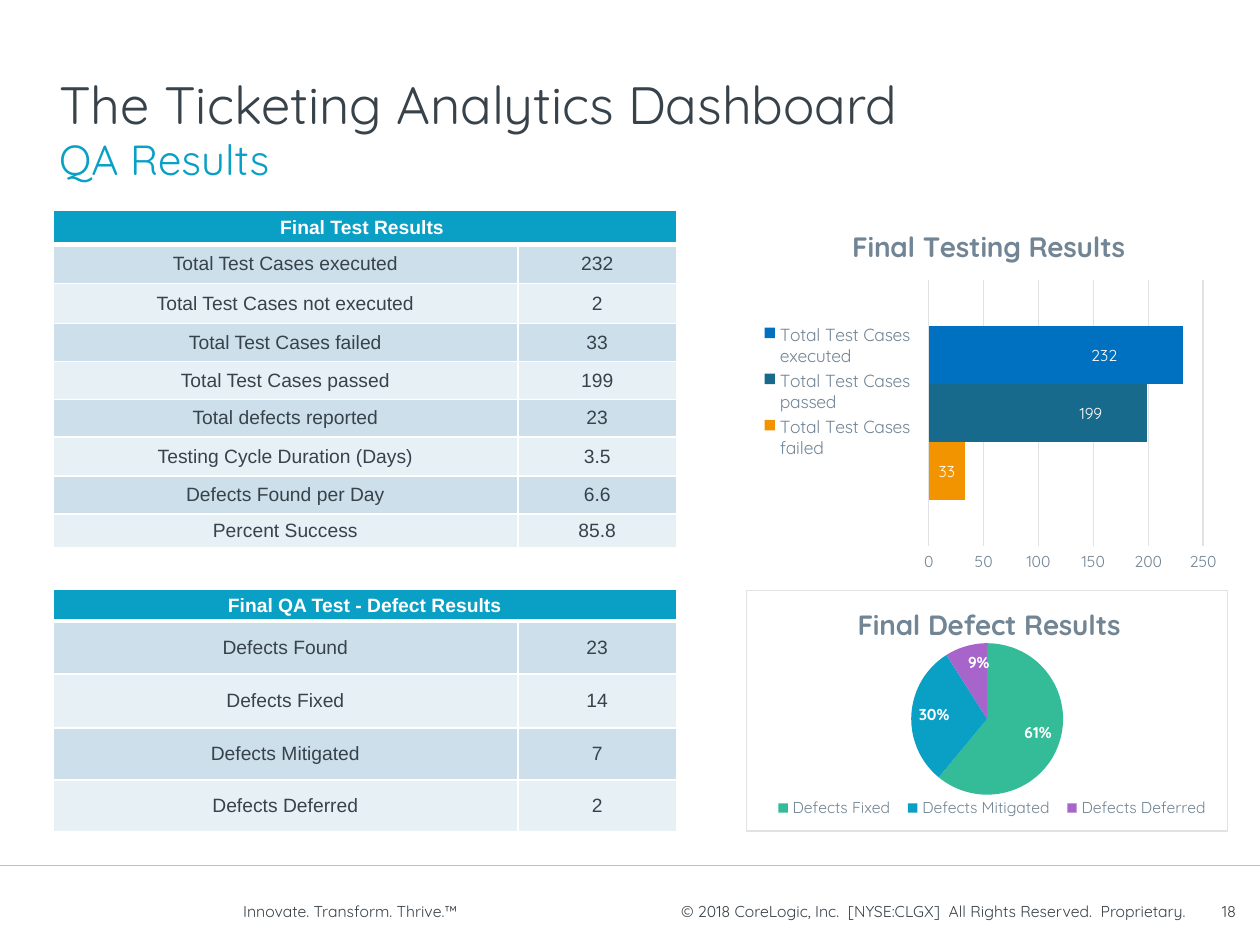
import pptx
import pptx.chart.data
import pptx.dml.color
import pptx.enum.chart
import pptx.enum.shapes
import pptx.enum.text
import pptx.oxml
import pptx.oxml.ns
import pptx.util

Inches, Pt = pptx.util.Inches, pptx.util.Pt
RGB = pptx.dml.color.RGBColor
ALIGN, ANCHOR = pptx.enum.text.PP_ALIGN, pptx.enum.text.MSO_ANCHOR
XL = pptx.enum.chart

INK, WHITE = RGB(0x38, 0x42, 0x4A), RGB(0xFF, 0xFF, 0xFF)
CYAN, SLATE = RGB(0x0A, 0xA0, 0xC6), RGB(0x72, 0x85, 0x95)
BAND_DARK, BAND_LIGHT = RGB(0xCC, 0xDF, 0xEA), RGB(0xE7, 0xF0, 0xF5)
GRID, RULE = RGB(0xDF, 0xE3, 0xE6), RGB(0xBF, 0xBF, 0xBF)
ORANGE, TEAL, BLUE = RGB(0xF2, 0x94, 0x00), RGB(0x18, 0x6A, 0x8C), RGB(0x00, 0x70, 0xC0)
GREEN, PURPLE = RGB(0x33, 0xBC, 0x97), RGB(0xA7, 0x65, 0xCB)
HEAD_FONT, TABLE_FONT = "Quicksand", "Arial"

LEFT, RIGHT_COL = 0.42, 5.92
TOP_ROW, BOTTOM_ROW = 1.67, 4.68
COLUMNS = (3.69, 1.26)

# text, box, size, colour, alignment, anchor, side inset
TEXTS = [
    ("The Ticketing Analytics Dashboard", (LEFT, 0.12, 9.34, 1), 30, INK, ALIGN.LEFT, ANCHOR.BOTTOM, 0.05),
    ("QA Results", (LEFT, 1.01, 9.33, 0.57), 24, CYAN, ALIGN.LEFT, ANCHOR.TOP, 0.05),
    ("Innovate. Transform. Thrive.™", (1.93, 7.02, 1.97, 0.42), 9, INK, ALIGN.LEFT, ANCHOR.MIDDLE, 0),
    ("© 2018 CoreLogic, Inc.  [NYSE:CLGX]  All Rights Reserved.  Proprietary. ",
     (5.03, 7.02, 4.41, 0.42), 9, INK, ALIGN.RIGHT, ANCHOR.MIDDLE, 0),
    ("18", (9.54, 7.02, 0.27, 0.42), 9, INK, ALIGN.RIGHT, ANCHOR.MIDDLE, 0),
]

# top, heading, rows, row heights
TABLES = [
    (TOP_ROW, "Final Test Results\u00a0", [
        ("Total Test Cases executed", "232"),
        ("Total Test Cases not executed", "2"),
        ("Total Test Cases failed", "33"),
        ("Total Test Cases passed", "199"),
        ("Total defects reported", "23"),
        ("Testing Cycle Duration (Days)", "3.5"),
        ("Defects Found per Day", "6.6"),
        ("Percent Success", "85.8"),
    ], (0.27, 0.31, 0.32, 0.3, 0.3, 0.3, 0.31, 0.3, 0.27)),
    (BOTTOM_ROW, "Final QA Test - Defect Results", [
        ("Defects Found", "23"),
        ("Defects Fixed", "14"),
        ("Defects Mitigated", "7"),
        ("Defects Deferred", "2"),
    ], (0.25, 0.42, 0.43, 0.41, 0.41)),
]

# name, value, colour, label shift as a share of the chart's width
TEST_BARS = [
    ("Total Test Cases failed", 33, ORANGE, 0),
    ("Total Test Cases passed", 199, TEAL, 0.11),
    ("Total Test Cases executed", 232, BLUE, 0.1),
]
DEFECT_SLICES = [
    ("Defects Fixed", 61, GREEN),
    ("Defects Mitigated", 30, CYAN),
    ("Defects Deferred", 9, PURPLE),
]


def style(font, size, color, name=HEAD_FONT, bold=False):
    font.size, font.name, font.bold = Pt(size), name, bold
    font.color.rgb = color


def add_text(slide, text, box, size, color, align, anchor, side):
    tf = slide.shapes.add_textbox(*map(Inches, box)).text_frame
    tf.word_wrap, tf.vertical_anchor = True, anchor
    tf.margin_left = tf.margin_right = Inches(side)
    p = tf.paragraphs[0]
    p.text, p.alignment = text, align
    style(p.font, size, color)


def fill_cell(cell, text, fill, color, bold=False, bottom=1):
    cell.margin_left = cell.margin_right = cell.margin_top = cell.margin_bottom = 0
    cell.vertical_anchor = ANCHOR.MIDDLE
    p = cell.text_frame.paragraphs[0]
    p.text, p.alignment = text, ALIGN.CENTER
    style(p.font, 11, color, TABLE_FONT, bold)
    for side, width in (("L", 1), ("R", 1), ("T", 1), ("B", bottom)):
        cell._tc.get_or_add_tcPr().append(pptx.oxml.parse_xml(
            f'<a:ln{side} {pptx.oxml.ns.nsdecls("a")} w="{Pt(width)}"><a:solidFill>'
            f'<a:srgbClr val="{WHITE}"/></a:solidFill></a:ln{side}>'))
    cell.fill.solid()
    cell.fill.fore_color.rgb = fill


def add_results_table(slide, top, heading, rows, heights):
    table = slide.shapes.add_table(len(heights), 2, Inches(LEFT), Inches(top),
                                   Inches(sum(COLUMNS)), Inches(sum(heights))).table
    for column, width in zip(table.columns, COLUMNS):
        column.width = Inches(width)
    for row, height in zip(table.rows, heights):
        row.height = Inches(height)
    for c, text in enumerate((heading, "")):
        fill_cell(table.cell(0, c), text, CYAN, WHITE, True, 3)
    table.cell(0, 0).merge(table.cell(0, 1))
    for r, values in enumerate(rows, 1):
        for c, text in enumerate(values):
            fill_cell(table.cell(r, c), text, BAND_DARK if r % 2 else BAND_LIGHT, INK)


def place(element, index, inner=False, **shares):
    """Give a chart part a manual layout in shares of the chart's size."""
    for old in element.findall(pptx.oxml.ns.qn("c:layout")):
        element.remove(old)
    modes = "".join(f'<c:{m}Mode val="edge"/>' for m in "xy") if "y" in shares else ""
    target = '<c:layoutTarget val="inner"/>' if inner else ""
    sizes = "".join(f'<c:{key} val="{value}"/>' for key, value in shares.items())
    element.insert(index, pptx.oxml.parse_xml(
        f'<c:layout {pptx.oxml.ns.nsdecls("c")}><c:manualLayout>{target}{modes}{sizes}'
        '</c:manualLayout></c:layout>'))


def add_chart(slide, kind, data, box, title, title_at, plot_at, legend_at, legend_side, legend_size, border):
    chart = slide.shapes.add_chart(kind, *map(Inches, box), data).chart
    style(chart.font, 10, INK)
    chart.has_title = True
    p = chart.chart_title.text_frame.paragraphs[0]
    p.text = title
    style(p.font, 16, SLATE, bold=True)
    chart.has_legend = True
    chart.legend.position, chart.legend.include_in_layout = legend_side, False
    style(chart.legend.font, legend_size, SLATE)
    space = chart._chartSpace
    place(space.xpath("c:chart/c:title")[0], 1, **dict(zip("xy", title_at)))
    place(space.xpath("c:chart/c:plotArea")[0], 0, True, **dict(zip("xywh", plot_at)))
    place(space.xpath("c:chart/c:legend")[0], 1, **dict(zip("xywh", legend_at)))
    line = f'<a:solidFill><a:srgbClr val="{GRID}"/></a:solidFill>' if border else "<a:noFill/>"
    space.xpath("c:chart")[0].addnext(pptx.oxml.parse_xml(
        f'<c:spPr {pptx.oxml.ns.nsdecls("c", "a")}><a:noFill/><a:ln w="{Pt(0.75)}">{line}</a:ln></c:spPr>'))
    return chart


def add_test_chart(slide):
    data = pptx.chart.data.CategoryChartData()
    data.categories = ["1"]
    for name, value, _, _ in TEST_BARS:
        data.add_series(name, [value])
    chart = add_chart(slide, XL.XL_CHART_TYPE.BAR_CLUSTERED, data, (RIGHT_COL, TOP_ROW, 3.82, 2.9),
                      "Final Testing Results", (0.21, 0.03), (0.38, 0.19, 0.57, 0.73),
                      (0.02, 0.3, 0.34, 0.39), XL.XL_LEGEND_POSITION.LEFT, 10, False)
    chart.category_axis.visible = False
    axis = chart.value_axis
    axis.minimum_scale, axis.maximum_scale, axis.major_unit = 0, 250, 50
    axis.major_tick_mark = XL.XL_TICK_MARK.NONE
    axis.format.line.fill.background()
    axis.major_gridlines.format.line.color.rgb = GRID
    axis.major_gridlines.format.line.width = Pt(0.75)
    style(axis.tick_labels.font, 9, SLATE)
    plot = chart.plots[0]
    plot.gap_width, plot.overlap, plot.vary_by_categories = 160, 0, False
    for series, (_, _, color, shift) in zip(plot.series, TEST_BARS):
        series.format.fill.solid()
        series.format.fill.fore_color.rgb = color
        label = series.points[0].data_label
        style(label.font, 9, WHITE)
        label.position = XL.XL_LABEL_POSITION.CENTER
        if shift:
            place(series._element.xpath("c:dLbls/c:dLbl")[0], 1, x=shift)
        for leader in series._element.xpath("c:dLbls/c:showLeaderLines"):
            leader.set("val", "0")


def add_defect_chart(slide):
    data = pptx.chart.data.CategoryChartData()
    data.categories = [name for name, _, _ in DEFECT_SLICES]
    data.add_series("Series 1", [value for _, value, _ in DEFECT_SLICES])
    chart = add_chart(slide, XL.XL_CHART_TYPE.PIE, data, (RIGHT_COL, BOTTOM_ROW, 3.83, 1.92),
                      "Final Defect Results", (0.22, 0.04), (0, 0.22, 1, 0.63),
                      (0.04, 0.85, 0.94, 0.11), XL.XL_LEGEND_POSITION.BOTTOM, 9, True)
    plot = chart.plots[0]
    plot.vary_by_categories = True
    for i, (_, _, color) in enumerate(DEFECT_SLICES):
        fill = plot.series[0].points[i].format.fill
        fill.solid()
        fill.fore_color.rgb = color
    labels = plot.series[0].data_labels
    labels.show_percentage, labels.show_value = True, False
    labels.number_format, labels.number_format_is_linked = "0%", False
    labels.position = XL.XL_LABEL_POSITION.INSIDE_END
    style(labels.font, 9, WHITE, bold=True)


def main():
    prs = pptx.Presentation()
    prs.slide_width, prs.slide_height = Inches(10), Inches(7.5)
    slide = prs.slides.add_slide(prs.slide_layouts[6])
    rule = slide.shapes.add_connector(pptx.enum.shapes.MSO_CONNECTOR.STRAIGHT,
                                      0, Inches(6.87), prs.slide_width, Inches(6.87))
    rule.line.color.rgb, rule.line.width = RULE, Pt(0.75)
    rule._element.spPr.append(pptx.oxml.parse_xml(f'<a:effectLst {pptx.oxml.ns.nsdecls("a")}/>'))
    for text in TEXTS:
        add_text(slide, *text)
    for table in TABLES:
        add_results_table(slide, *table)
    add_test_chart(slide)
    add_defect_chart(slide)
    prs.save("out.pptx")


if __name__ == "__main__":
    main()
